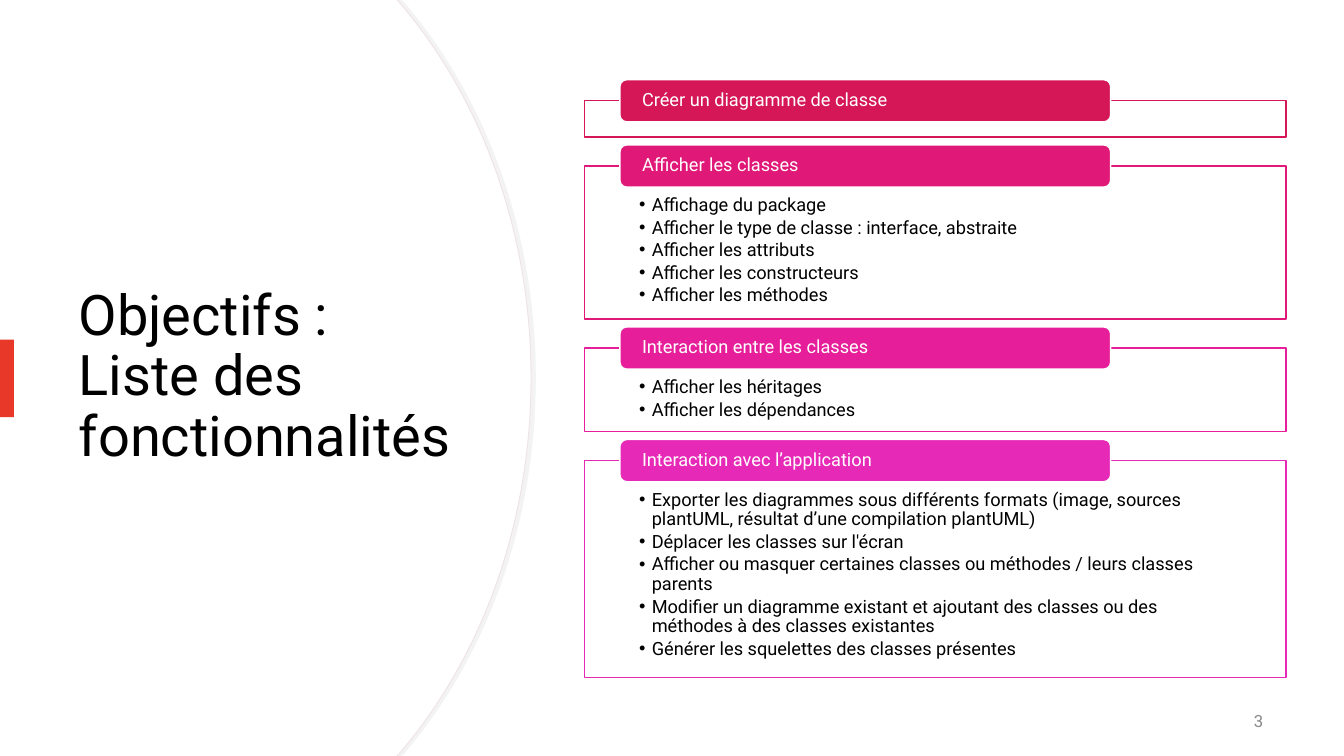
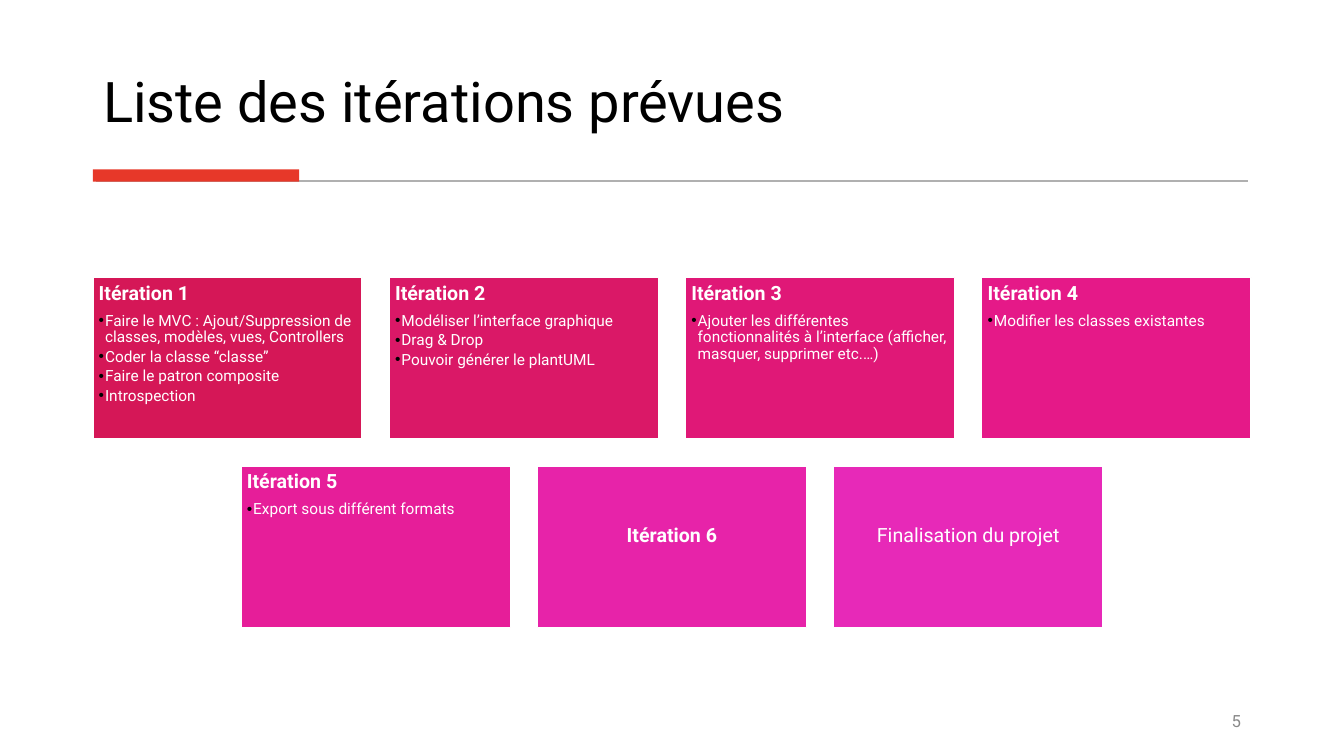
from lxml.etree import SubElement
from pptx import Presentation
from pptx.dml.color import RGBColor
from pptx.enum.shapes import MSO_CONNECTOR, MSO_SHAPE
from pptx.enum.text import MSO_ANCHOR, MSO_AUTO_SIZE, PP_ALIGN
from pptx.oxml.ns import qn
from pptx.util import Pt

FONT = "Roboto"
WHITE = RGBColor(0xFF, 0xFF, 0xFF)
BLACK = RGBColor(0x00, 0x00, 0x00)
RED = RGBColor(0xE7, 0x38, 0x29)
NUMBER_GREY = RGBColor(0x89, 0x89, 0x89)
RULE_GREY = RGBColor(0xB0, 0xB0, 0xB0)
ARC_EDGE = RGBColor(0xEF, 0xE3, 0xEB)
ARC_SHADOW = RGBColor(0xD9, 0xD9, 0xD9)
CRIMSON = RGBColor(0xD5, 0x17, 0x57)
RASPBERRY = RGBColor(0xDA, 0x18, 0x67)
ROSE = RGBColor(0xE0, 0x18, 0x77)
PINK = RGBColor(0xE5, 0x19, 0x88)
FUCHSIA = RGBColor(0xE6, 0x1E, 0x99)
MAGENTA = RGBColor(0xE7, 0x23, 0xA9)
ORCHID = RGBColor(0xE7, 0x29, 0xB8)

SLIDE_WIDTH, SLIDE_HEIGHT = 960, 540
TITLE_ONLY = 5

PANEL_LEFT, PANEL_WIDTH, PANEL_GAP = 417.6, 501.1, 20.6
TAB_LEFT, TAB_WIDTH, TAB_HEIGHT = 442.8, 350.6, 30.2
CARD_WIDTH = 192.4
CARD_HEIGHT = 0.6 * CARD_WIDTH
CARD_GAP = 0.1 * CARD_WIDTH

# Heading, colour, panel height, list
PANELS = [
    ("Créer un diagramme de classe", CRIMSON, 26, []),
    ("Afficher les classes", ROSE, 109.4, [
        "Affichage du package",
        "Afficher le type de classe : interface, abstraite",
        "Afficher les attributs",
        "Afficher les constructeurs",
        "Afficher les méthodes",
    ]),
    ("Interaction entre les classes", FUCHSIA, 59.8, [
        "Afficher les héritages",
        "Afficher les dépendances",
    ]),
    ("Interaction avec l’application", ORCHID, 154.8, [
        "Exporter les diagrammes sous différents formats (image, sources "
        "plantUML, résultat d’une compilation plantUML)",
        "Déplacer les classes sur l'écran",
        "Afficher ou masquer certaines classes ou méthodes / leurs classes parents",
        "Modifier un diagramme existant et ajoutant des classes ou des "
        "méthodes à des classes existantes",
        "Générer les squelettes des classes présentes",
    ]),
]

# Rows of cards: heading, colour, bold heading, list
CARD_ROWS = [
    [
        ("Itération 1", CRIMSON, True, [
            "Faire le MVC : Ajout/Suppression de classes, modèles, vues, Controllers",
            "Coder la classe “classe”",
            "Faire le patron composite",
            "Introspection",
        ]),
        ("Itération 2", RASPBERRY, True, [
            "Modéliser l’interface graphique",
            "Drag & Drop",
            "Pouvoir générer le plantUML",
        ]),
        ("Itération 3", ROSE, True, [
            "Ajouter les différentes fonctionnalités à l’interface (afficher, "
            "masquer, supprimer etc.…)",
        ]),
        ("Itération 4", PINK, True, ["Modifier les classes existantes"]),
    ],
    [
        ("Itération 5", FUCHSIA, True, ["Export sous différent formats"]),
        ("Itération 6", MAGENTA, True, []),
        ("Finalisation du projet", ORCHID, False, []),
    ],
]


def add_bullet(para, indent):
    props = para._p.get_or_add_pPr()
    props.set("marL", str(Pt(indent)))
    props.set("indent", str(-Pt(indent)))
    colour = SubElement(props, qn("a:buClr"))
    SubElement(colour, qn("a:srgbClr"), val=str(BLACK))
    SubElement(props, qn("a:buFont"), typeface="Arial")
    SubElement(props, qn("a:buChar"), char="•")


def write(frame, text, size, color, bold=False, align=PP_ALIGN.LEFT,
          spacing=0.9, after=0, bullet=None):
    """Append one paragraph; bullet is its hanging indent in points."""
    para = frame.add_paragraph() if frame.text else frame.paragraphs[0]
    if bullet:
        add_bullet(para, bullet)
    para.alignment = align
    para.line_spacing = spacing
    para.space_before = Pt(0)
    para.space_after = Pt(after)
    span = para.add_run()
    span.text = text
    span.font.name = FONT
    span.font.size = Pt(size)
    span.font.bold = bold
    span.font.color.rgb = color


def set_frame(frame, anchor, left=7.2, top=3.6, right=7.2, bottom=3.6):
    frame.word_wrap = True
    frame.auto_size = MSO_AUTO_SIZE.NONE
    frame.vertical_anchor = anchor
    frame.margin_left, frame.margin_top = Pt(left), Pt(top)
    frame.margin_right, frame.margin_bottom = Pt(right), Pt(bottom)


def paint(shape, fill, line=None, weight=1):
    shape.shadow.inherit = False
    shape.fill.solid()
    shape.fill.fore_color.rgb = fill
    if line is None:
        shape.line.fill.background()
    else:
        shape.line.color.rgb = line
        shape.line.width = Pt(weight)


def add_block(page, left, top, width, height, fill, line=None,
              kind=MSO_SHAPE.RECTANGLE):
    block = page.shapes.add_shape(kind, Pt(left), Pt(top), Pt(width), Pt(height))
    paint(block, fill, line)
    return block


def add_page(deck, title, left, top, width, height, anchor):
    page = deck.slides.add_slide(deck.slide_layouts[TITLE_ONLY])
    box = page.shapes.title
    box.left, box.top = Pt(left), Pt(top)
    box.width, box.height = Pt(width), Pt(height)
    set_frame(box.text_frame, anchor)
    write(box.text_frame, title, 40, BLACK)
    return page


def add_page_number(page, number, right):
    width = 200
    box = page.shapes.add_textbox(Pt(right - width), Pt(500.4), Pt(width), Pt(28.8))
    set_frame(box.text_frame, MSO_ANCHOR.MIDDLE)
    write(box.text_frame, number, 12, NUMBER_GREY, align=PP_ALIGN.RIGHT, spacing=1)


def bezier(points, t):
    weights = ((1 - t) ** 3, 3 * t * (1 - t) ** 2, 3 * t * t * (1 - t), t ** 3)
    return tuple(sum(w * p[axis] for w, p in zip(weights, points)) for axis in (0, 1))


def add_arc_panel(page, shift=0):
    """White area on the left whose right edge is a curve; shift moves the curve."""
    control = [(288.7, 5.8), (344.9, 73.4), (379.4, 167), (379.4, 270)]
    upper = [(283.7, 0)] + [bezier(control, step / 32) for step in range(33)]
    lower = [(x, SLIDE_HEIGHT - y) for x, y in reversed(upper[:-1])]
    outline = [(Pt(x + shift), Pt(y)) for x, y in upper + lower]
    builder = page.shapes.build_freeform(0, 0)
    builder.add_line_segments(outline + [(0, Pt(SLIDE_HEIGHT))], close=True)
    return builder.convert_to_shape()


def add_arc(page):
    edge = add_arc_panel(page)
    paint(edge, WHITE, ARC_EDGE, 0.75)
    effects = edge._element.spPr.find(qn("a:effectLst"))
    shadow = SubElement(effects, qn("a:outerShdw"), dist=str(Pt(3)), dir="0",
                        algn="l", rotWithShape="0")
    colour = SubElement(shadow, qn("a:srgbClr"), val=str(ARC_SHADOW))
    SubElement(colour, qn("a:alpha"), val="30000")
    paint(add_arc_panel(page, shift=-0.7), WHITE)


def add_panel(page, top, height, heading, color, items):
    panel = add_block(page, PANEL_LEFT, top, PANEL_WIDTH, height, WHITE, color)
    set_frame(panel.text_frame, MSO_ANCHOR.TOP, 39, 21.3, 39, 7.2)
    for item in items:
        write(panel.text_frame, item, 13, BLACK, after=2, bullet=9)
    tab = add_block(page, TAB_LEFT, top - TAB_HEIGHT / 2, TAB_WIDTH, TAB_HEIGHT,
                    color, WHITE, MSO_SHAPE.ROUNDED_RECTANGLE)
    set_frame(tab.text_frame, MSO_ANCHOR.MIDDLE, 14.4, 1.4, 14.4, 1.4)
    write(tab.text_frame, heading, 13, WHITE)


def add_card(page, left, top, heading, color, bold, items):
    card = add_block(page, left, top, CARD_WIDTH, CARD_HEIGHT, color, WHITE)
    frame = card.text_frame
    if items:
        set_frame(frame, MSO_ANCHOR.TOP, 4.2, 4.2, 4.2, 4.2)
        write(frame, heading, 14, WHITE, bold=bold, after=6)
    else:
        set_frame(frame, MSO_ANCHOR.MIDDLE, 4.2, 4.2, 4.2, 20)
        write(frame, heading, 14, WHITE, bold=bold, align=PP_ALIGN.CENTER)
    for item in items:
        write(frame, item, 11, WHITE, after=2, bullet=4.5)


def add_title_rule(page):
    y = Pt(129.2)
    rule = page.shapes.add_connector(MSO_CONNECTOR.STRAIGHT, Pt(68.4), y, Pt(891.4), y)
    rule.line.color.rgb = RULE_GREY
    rule.line.width = Pt(1.5)
    SubElement(rule._element.spPr, qn("a:effectLst"))
    add_block(page, 66.4, 121, 147.4, 8.8, RED)


def build_features(deck):
    page = add_page(deck, "Objectifs : Liste des fonctionnalités",
                    49, 91.4, 283.7, 356.4, MSO_ANCHOR.MIDDLE)
    add_arc(page)
    tree = page.shapes._spTree
    tree.append(page.shapes.title._element)  # title in front of the arc
    add_block(page, 0, 242.6, 10, 55.4, RED)
    add_page_number(page, "3", 909.4)
    top = 72
    for heading, color, height, items in PANELS:
        add_panel(page, top, height, heading, color, items)
        top += height + PANEL_GAP


def build_iterations(deck):
    page = add_page(deck, "Liste des itérations prévues",
                    66.4, 20.2, 827.2, 79.9, MSO_ANCHOR.BOTTOM)
    add_title_rule(page)
    add_page_number(page, "5", 893.6)
    for row, cards in enumerate(CARD_ROWS):
        row_width = len(cards) * (CARD_WIDTH + CARD_GAP) - CARD_GAP
        left = (SLIDE_WIDTH - row_width) / 2
        top = 198.2 + row * (CARD_HEIGHT + CARD_GAP)
        for column, card in enumerate(cards):
            add_card(page, left + column * (CARD_WIDTH + CARD_GAP), top, *card)


def main():
    deck = Presentation()
    deck.slide_width, deck.slide_height = Pt(SLIDE_WIDTH), Pt(SLIDE_HEIGHT)
    build_features(deck)
    build_iterations(deck)
    deck.save("out.pptx")


if __name__ == "__main__":
    main()
